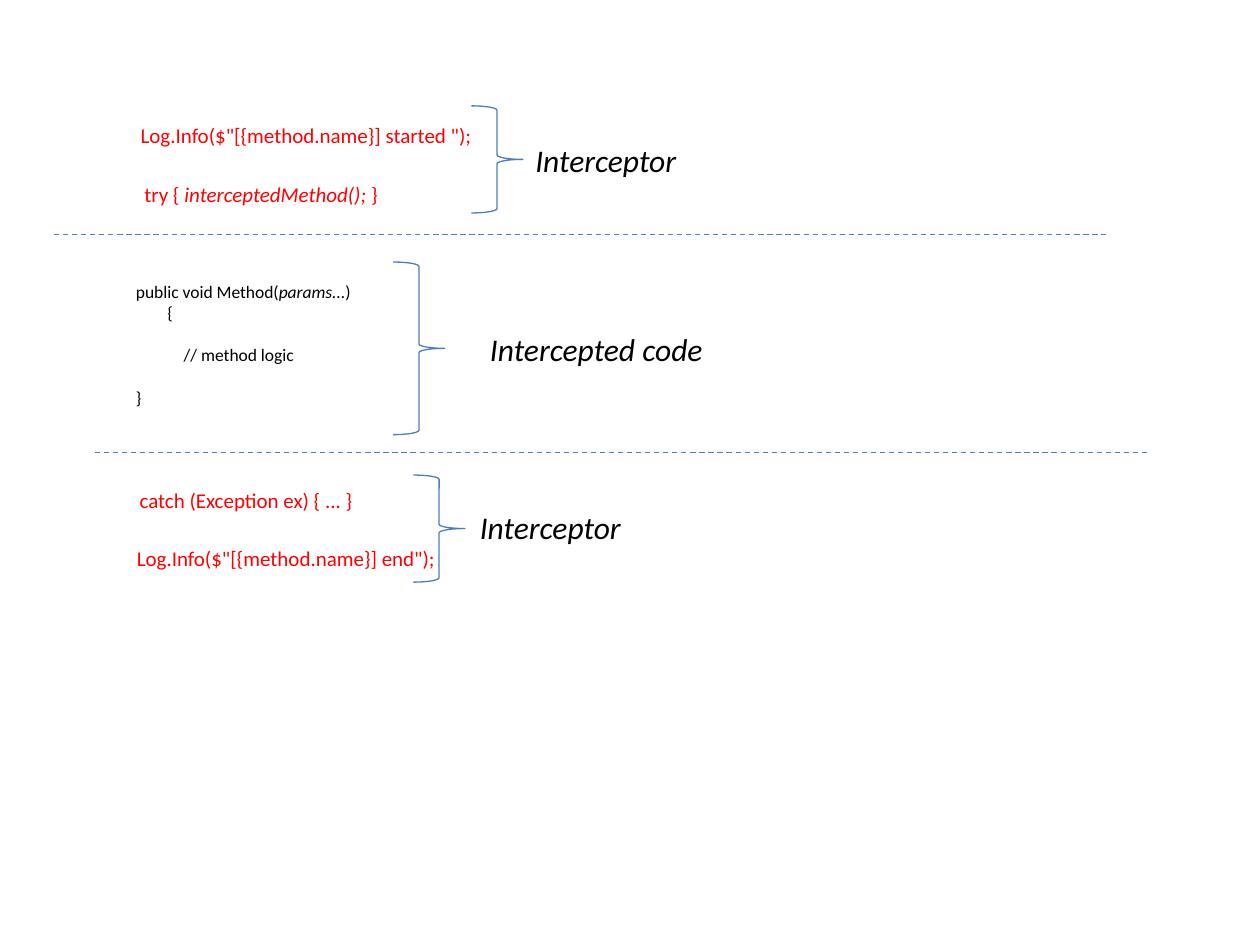
from lxml import etree
from pptx import Presentation
from pptx.dml.color import RGBColor
from pptx.enum.dml import MSO_LINE
from pptx.enum.shapes import MSO_CONNECTOR, MSO_SHAPE
from pptx.enum.text import MSO_AUTO_SIZE as AutoSize
from pptx.oxml.ns import qn
from pptx.util import Inches, Pt

COLORS = {"advice": "FF0000", "code": "000000", "rule": "4B7EBC"}
FONT = "Calibri"
LINE_GAP = 12.2

METHOD_BOX = (0.98, 2.18, 8.11, 1.11)
METHOD_LINES = [
    (0, 0, [("public void Method(", False), ("params...", True), (")", False)]),
    (0.25, 0, [("{", False)]),
    (0.38, LINE_GAP, [("// method logic", False)]),
    (0, LINE_GAP, [("}", False)]),
]
ADVICE = [
    (0.98, 0.92, 2.89, [(' Log.Info($"[{method.name}] started ");', False)]),
    (1.01, 1.39, 2.11, [(" try { ", False), ("interceptedMethod();", True), (" }", False)]),
    (1.01, 3.82, 1.91, [("catch (Exception ex) { ... }", False)]),
    (0.95, 4.28, 2.63, [(' Log.Info($"[{method.name}] end");', False)]),
]
LABELS = [
    (4.15, 1.07, 1.36, "Interceptor"),
    (3.79, 2.57, 1.91, "Intercepted code"),
    (3.71, 3.98, 1.36, "Interceptor"),
]
BRACES = [(3.74, 0.84, 0.85), (3.12, 2.08, 1.37), (3.28, 3.77, 0.85)]
BRACE_WIDTH = 0.41
DIVIDERS = [(0.43, 1.86), (0.75, 3.59)]
DIVIDER_LENGTH = 8.35


def add_text(page, place, lines, size, color, wrap=False):
    box = page.shapes.add_textbox(*map(Inches, place))
    frame = box.text_frame
    frame.word_wrap = wrap
    frame.auto_size = AutoSize.SHAPE_TO_FIT_TEXT
    for index, (indent, gap, spans) in enumerate(lines):
        para = frame.paragraphs[0] if index == 0 else frame.add_paragraph()
        para.space_before = Pt(gap)
        if indent:
            para._p.get_or_add_pPr().set("marL", str(Inches(indent)))
        for text, italic in spans:
            span = para.add_run()
            span.text = text
            span.font.name = FONT
            span.font.size = Pt(size)
            span.font.italic = italic
            span.font.color.rgb = RGBColor.from_string(COLORS[color])


def style_line(shape):
    shape.line.color.rgb = RGBColor.from_string(COLORS["rule"])
    shape.line.width = Pt(0.75)


deck = Presentation()
deck.slide_width, deck.slide_height = Inches(10), Inches(7.5)
page = deck.slides.add_slide(deck.slide_layouts[6])

add_text(page, METHOD_BOX, METHOD_LINES, 10, "code", wrap=True)
for left, top, width, spans in ADVICE:
    add_text(page, (left, top, width, 0.3), [(0, 0, spans)], 12, "advice")
for left, top, width, label in LABELS:
    add_text(page, (left, top, width, 0.4), [(0, 0, [(label, True)])], 18, "code")

for left, top, height in BRACES:
    brace = page.shapes.add_shape(
        MSO_SHAPE.RIGHT_BRACE, *map(Inches, (left, top, BRACE_WIDTH, height)))
    brace.shadow.inherit = False
    brace.fill.background()
    style_line(brace)

for left, top in DIVIDERS:
    divider = page.shapes.add_connector(
        MSO_CONNECTOR.STRAIGHT, *map(Inches, (left, top, left + DIVIDER_LENGTH, top)))
    style_line(divider)
    divider.line.dash_style = MSO_LINE.DASH
    etree.SubElement(divider._element.spPr, qn("a:effectLst"))

deck.save("out.pptx")
